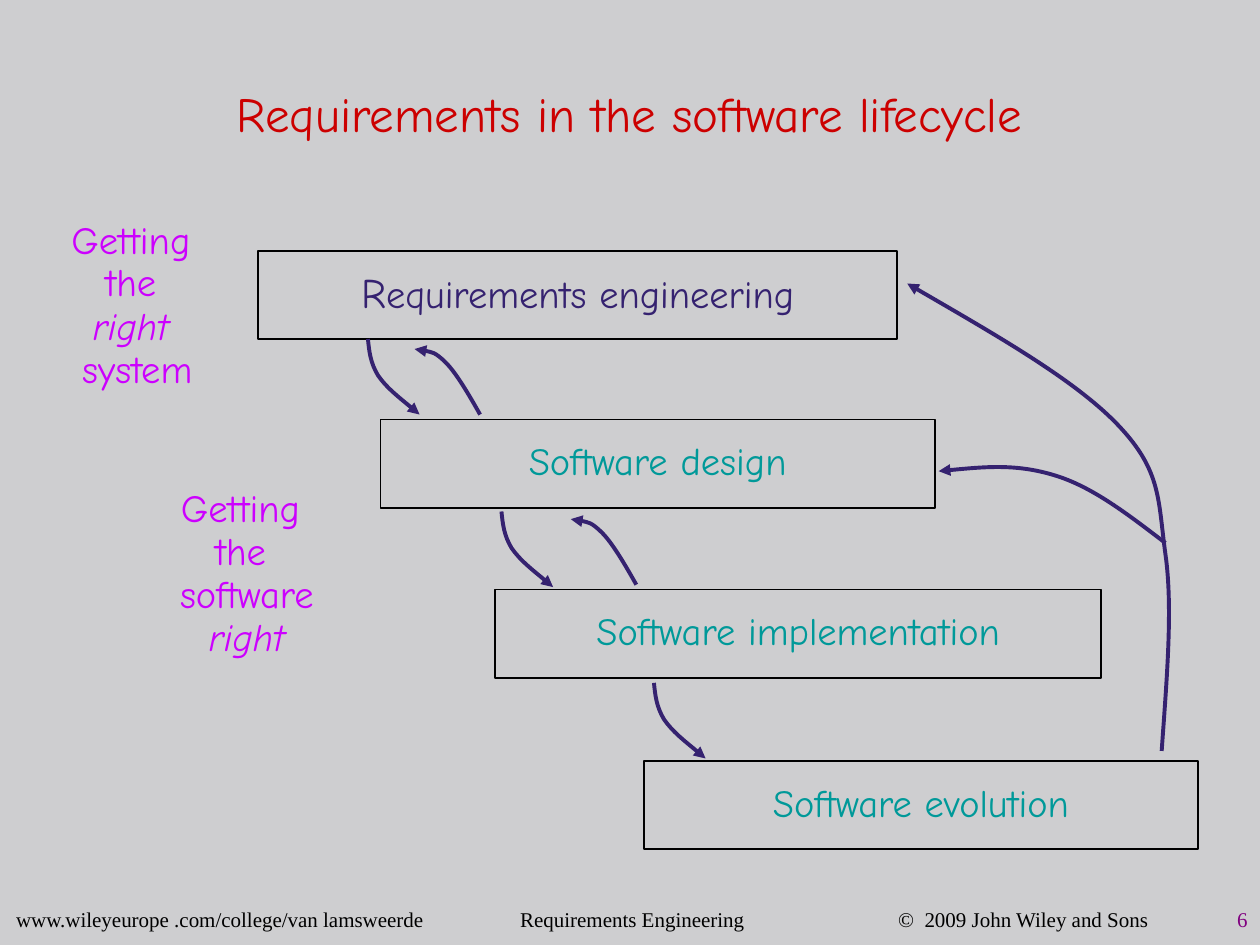
from dataclasses import dataclass

from pptx import Presentation
from pptx.dml.color import RGBColor
from pptx.enum.shapes import MSO_SHAPE
from pptx.enum.text import MSO_ANCHOR, PP_ALIGN
from pptx.oxml.ns import qn
from pptx.oxml.xmlchemy import OxmlElement
from pptx.util import Inches, Pt


@dataclass(frozen=True)
class Theme:
    background: str = "CECED0"
    title: str = "CC0000"
    ink: str = "352270"
    phase: str = "009999"
    goal: str = "CC00FF"
    black: str = "000000"
    page: str = "800080"
    font: str = "Comic Neue"
    footer_font: str = "Times New Roman"
    title_size: int = 28
    initial_size: int = 24
    body_size: int = 22
    footer_size: int = 12


theme = Theme()


def format_runs(p, size, color, font=theme.font):
    for r in p.runs:
        r.font.size = Pt(size)
        r.font.name = font
        r.font.color.rgb = RGBColor.from_string(color)


def add_curve(shapes, points, arrow):
    """Draw cubic segments through start, then (control, control, end) triples.

    arrow is "headEnd" for the start of the curve or "tailEnd" for its end.
    """
    pts = [(Inches(x), Inches(y)) for x, y in points]
    builder = shapes.build_freeform(*pts[0])
    builder.add_line_segments(pts[1:], close=False)
    sp = builder.convert_to_shape()
    sp.shadow.inherit = False
    sp.fill.background()
    sp.line.color.rgb = RGBColor.from_string(theme.ink)
    sp.line.width = Pt(2.25)

    path = sp._element.spPr.find(".//" + qn("a:path"))
    segments = path.findall(qn("a:lnTo"))
    for i in range(0, len(segments), 3):
        cubic = OxmlElement("a:cubicBezTo")
        for segment in segments[i:i + 3]:
            cubic.append(segment[0])
            path.remove(segment)
        path.append(cubic)

    end = OxmlElement("a:" + arrow)
    end.set("type", "triangle")
    sp.line._get_or_add_ln().append(end)


prs = Presentation()
prs.slide_width, prs.slide_height = Inches(10), Inches(7.5)
s = prs.slides.add_slide(prs.slide_layouts[5])
s.background.fill.solid()
s.background.fill.fore_color.rgb = RGBColor.from_string(theme.background)

# Title
title = s.shapes.title
title.left, title.top = Inches(0.21), Inches(0.48)
title.width, title.height = Inches(9.57), Inches(0.83)
title.text_frame.text = "Requirements in the software lifecycle"
title.text_frame.vertical_anchor = MSO_ANCHOR.MIDDLE
p = title.text_frame.paragraphs[0]
p.alignment = PP_ALIGN.CENTER
format_runs(p, theme.title_size, theme.title)

# Lifecycle phases
phases = [
    (2.05, 1.99, 5.07, ("R", "equirements engineering"), theme.ink),
    (3.02, 3.33, 4.4, ("Software design",), theme.phase),
    (3.93, 4.68, 4.81, ("Software implementation",), theme.phase),
    (5.11, 6.04, 4.4, ("Software evolution",), theme.phase),
]
for x, y, width, label, color in phases:
    sp = s.shapes.add_shape(MSO_SHAPE.RECTANGLE, Inches(x), Inches(y), Inches(width), Inches(0.7))
    sp.shadow.inherit = False
    sp.fill.background()
    sp.line.color.rgb = RGBColor.from_string(theme.black)
    sp.line.width = Pt(1)
    tf = sp.text_frame
    tf.vertical_anchor = MSO_ANCHOR.MIDDLE
    tf.margin_bottom = Inches(0.1)
    p = tf.paragraphs[0]
    p.alignment = PP_ALIGN.CENTER
    for text in label:
        p.add_run().text = text
    format_runs(p, theme.body_size, color)
    if len(label) > 1:
        p.runs[0].font.size = Pt(theme.initial_size)

# Steps down to the next phase, and back up to the previous one
step_down = [(0, 0), (0.01, 0.1), (0.02, 0.19), (0.08, 0.29), (0.15, 0.39), (0.28, 0.49), (0.41, 0.6)]
step_back = [(0, 0), (0.08, 0.01), (0.16, 0.02), (0.25, 0.11), (0.33, 0.19), (0.43, 0.36), (0.52, 0.52)]
steps = [
    (step_down, "tailEnd", [(2.92, 2.69), (3.98, 4.06), (5.19, 5.42)]),
    (step_back, "headEnd", [(3.29, 2.77), (4.53, 4.12)]),
]
for offsets, arrow, starts in steps:
    for x, y in starts:
        add_curve(s.shapes, [(x + dx, y + dy) for dx, dy in offsets], arrow)

# Feedback from evolution to the early phases
evolution_to_requirements = [
    (9.22, 5.96), (9.26, 5.39), (9.31, 4.82), (9.25, 4.4), (9.19, 3.97),
    (9.22, 3.74), (8.88, 3.38), (8.54, 3.02), (7.87, 2.64), (7.2, 2.25),
]
evolution_to_design = [
    (7.45, 3.74), (7.76, 3.71), (8.06, 3.68), (8.36, 3.77),
    (8.67, 3.86), (8.96, 4.09), (9.25, 4.31),
]
add_curve(s.shapes, evolution_to_requirements, "tailEnd")
add_curve(s.shapes, evolution_to_design, "headEnd")

# Goals beside the phases
goals = [
    (0.26, 1.66, ["Getting ", "the ", "right ", "system"]),
    (1.13, 3.79, ["Getting ", "the ", "software", "right"]),
]
for x, y, lines in goals:
    tf = s.shapes.add_textbox(Inches(x), Inches(y), Inches(1.66), Inches(1.5)).text_frame
    tf.word_wrap = True
    tf.vertical_anchor = MSO_ANCHOR.MIDDLE
    tf.text = "\n".join(lines)
    for i, p in enumerate(tf.paragraphs):
        p.alignment = PP_ALIGN.CENTER
        if i > 0:
            p.line_spacing = 0.9
            p.space_before = Pt(1)
        format_runs(p, theme.body_size, theme.goal)
        p.runs[0].font.italic = p.text.strip() == "right"

# Footer and page number
tf = s.shapes.add_textbox(Inches(0.03), Inches(7.2), Inches(9.7), Inches(0.25)).text_frame
tf.word_wrap = True
tf.text = (
    "www.wileyeurope .com/college/van lamsweerde"
    "\tRequirements Engineering\t©  2009 John Wiley and Sons"
)
p = tf.paragraphs[0]
p.line_spacing = 0.7
tabs = OxmlElement("a:tabLst")
for position in (4, 7):
    tab = OxmlElement("a:tab")
    tab.set("pos", str(Inches(position)))
    tab.set("algn", "l")
    tabs.append(tab)
p._p.get_or_add_pPr().append(tabs)
format_runs(p, theme.footer_size, theme.black, theme.footer_font)

tf = s.shapes.add_textbox(Inches(9.14), Inches(7.11), Inches(0.86), Inches(0.34)).text_frame
tf.word_wrap = True
tf.text = "6"
p = tf.paragraphs[0]
p.alignment = PP_ALIGN.RIGHT
p.line_spacing = 1.2
format_runs(p, theme.footer_size, theme.page, theme.footer_font)

prs.save("out.pptx")
